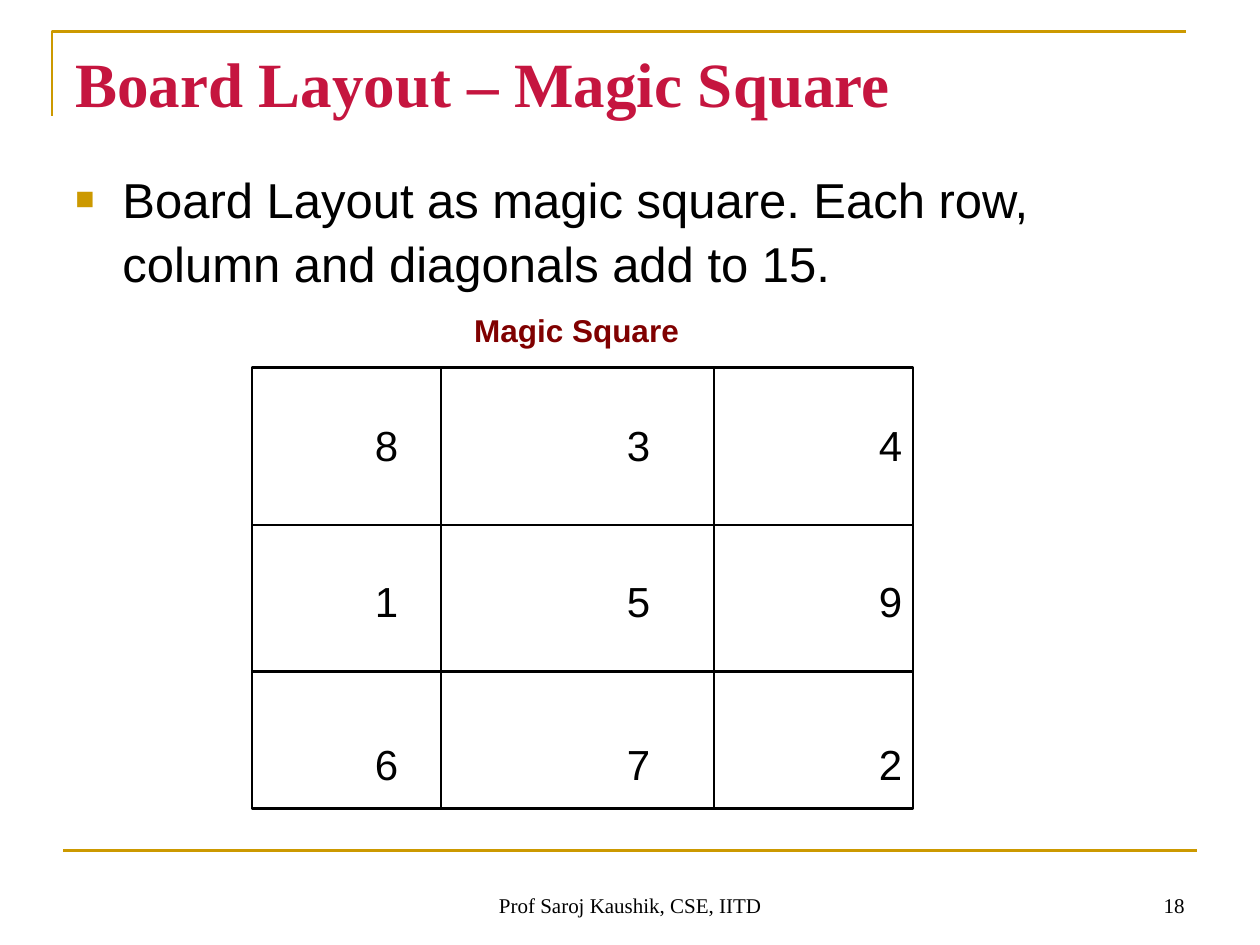
from dataclasses import dataclass

from lxml.etree import SubElement
from pptx import Presentation
from pptx.dml.color import RGBColor
from pptx.enum.shapes import MSO_CONNECTOR, MSO_SHAPE
from pptx.enum.text import MSO_ANCHOR, PP_ALIGN
from pptx.oxml.ns import qn
from pptx.util import Cm, Pt


@dataclass(frozen=True)
class Theme:
    gold: str = "CC9900"
    red: str = "C5153F"
    maroon: str = "800000"
    black: str = "000000"
    sans: str = "Arial"
    serif: str = "Times New Roman"
    title: int = 36
    body: int = 28
    digit: int = 24
    label: int = 18
    foot: int = 12
    rule: float = 1.5


THEME = Theme()


def rgb(code):
    return RGBColor.from_string(code)


def style(para, text, size, color=THEME.black, font=THEME.sans,
          bold=False, align=PP_ALIGN.LEFT):
    para.alignment = align
    run = para.add_run()
    run.text = text
    run.font.size = Pt(size)
    run.font.name = font
    run.font.bold = bold
    run.font.color.rgb = rgb(color)


def write(slide, box, text, anchor=MSO_ANCHOR.TOP, **form):
    """Put one paragraph in a text box and return the text frame."""
    frame = slide.shapes.add_textbox(*map(Cm, box)).text_frame
    frame.word_wrap = True
    frame.vertical_anchor = anchor
    style(frame.paragraphs[0], text, **form)
    return frame


def pen(shape, color):
    shape.line.color.rgb = rgb(color)
    shape.line.width = Pt(THEME.rule)


def hollow(shape, color):
    shape.shadow.inherit = False
    shape.fill.background()
    pen(shape, color)


def stroke(slide, x1, y1, x2, y2, color):
    line = slide.shapes.add_connector(
        MSO_CONNECTOR.STRAIGHT, *map(Cm, (x1, y1, x2, y2)))
    pen(line, color)
    SubElement(line._element.spPr, qn("a:effectLst"))


def bullet(para, indent):
    props = para._p.get_or_add_pPr()
    props.set("marL", str(Cm(indent)))
    props.set("indent", str(-Cm(indent)))
    tint = SubElement(props, qn("a:buClr"))
    SubElement(tint, qn("a:srgbClr"), val=THEME.gold)
    SubElement(props, qn("a:buSzPct"), val="65000")
    SubElement(props, qn("a:buFont"), typeface=THEME.sans)
    SubElement(props, qn("a:buChar"), char="■")


def tabs(para, stops):
    props = para._p.get_or_add_pPr()
    group = SubElement(props, qn("a:tabLst"))
    for stop in stops:
        SubElement(group, qn("a:tab"), pos=str(Cm(stop)), algn="l")


def header(slide, box):
    left, top, width, height = box
    # Corner rule
    path = slide.shapes.build_freeform(Cm(left), Cm(top + height))
    path.add_line_segments(
        [(Cm(left), Cm(top)), (Cm(left + width), Cm(top))], close=False)
    hollow(path.convert_to_shape(), THEME.gold)
    # Title
    write(slide, (left + 0.22, top + 0.14, width, 2),
          "Board Layout – Magic Square", size=THEME.title,
          color=THEME.red, font=THEME.serif, bold=True)


def body(slide, box):
    # Statement
    frame = write(
        slide, box,
        "Board Layout as magic square. Each row, column and diagonals "
        "add to 15.", size=THEME.body)
    first = frame.paragraphs[0]
    first.line_spacing = 1.1
    bullet(first, 0.95)
    # Digits of the square, on even tab stops
    rows = ((72.5, "\t8\t3\t4"), (60.5, "\t1\t5\t9"), (64, "\t6\t7\t2"))
    for gap, text in rows:
        para = frame.add_paragraph()
        para.space_before = Pt(gap)
        tabs(para, [6.04 + 5.08 * n for n in range(3)])
        style(para, text, size=THEME.digit)


def square(slide, box):
    left, top, width, height = box
    # Frame and inner lines
    hollow(slide.shapes.add_shape(MSO_SHAPE.RECTANGLE, *map(Cm, box)),
           THEME.black)
    for x in (left + 3.81, left + 9.31):
        stroke(slide, x, top, x, top + height, THEME.black)
    for y in (top + 3.17, top + 6.13):
        stroke(slide, left, y, left + width, y, THEME.black)
    # Caption
    write(slide, (left + 4.23, top - 1.27, 5.5, 1.02), "Magic Square",
          size=THEME.label, color=THEME.maroon, bold=True)


def footer(slide, box):
    left, top, width, height = box
    # Rule
    stroke(slide, left, top, left + width, top, THEME.gold)
    # Author and page number
    form = dict(anchor=MSO_ANCHOR.BOTTOM, size=THEME.foot, font=THEME.serif)
    write(slide, (left + 7.41, top + 0.21, 8.05, height - 0.21),
          "Prof Saroj Kaushik, CSE, IITD", align=PP_ALIGN.CENTER, **form)
    write(slide, (left + width - 5.92, top + 0.21, 5.92, height - 0.21),
          "18", align=PP_ALIGN.RIGHT, **form)


def main():
    deck = Presentation()
    deck.slide_width, deck.slide_height = Cm(25.4), Cm(19.05)
    slide = deck.slides.add_slide(deck.slide_layouts[6])
    header(slide, (1.05, 0.63, 22.86, 1.7))
    body(slide, (1.27, 3.17, 22.86, 14.6))
    square(slide, (5.08, 7.41, 13.33, 8.89))
    footer(slide, (1.27, 17.14, 22.86, 1.48))
    deck.save("out.pptx")


if __name__ == "__main__":
    main()
